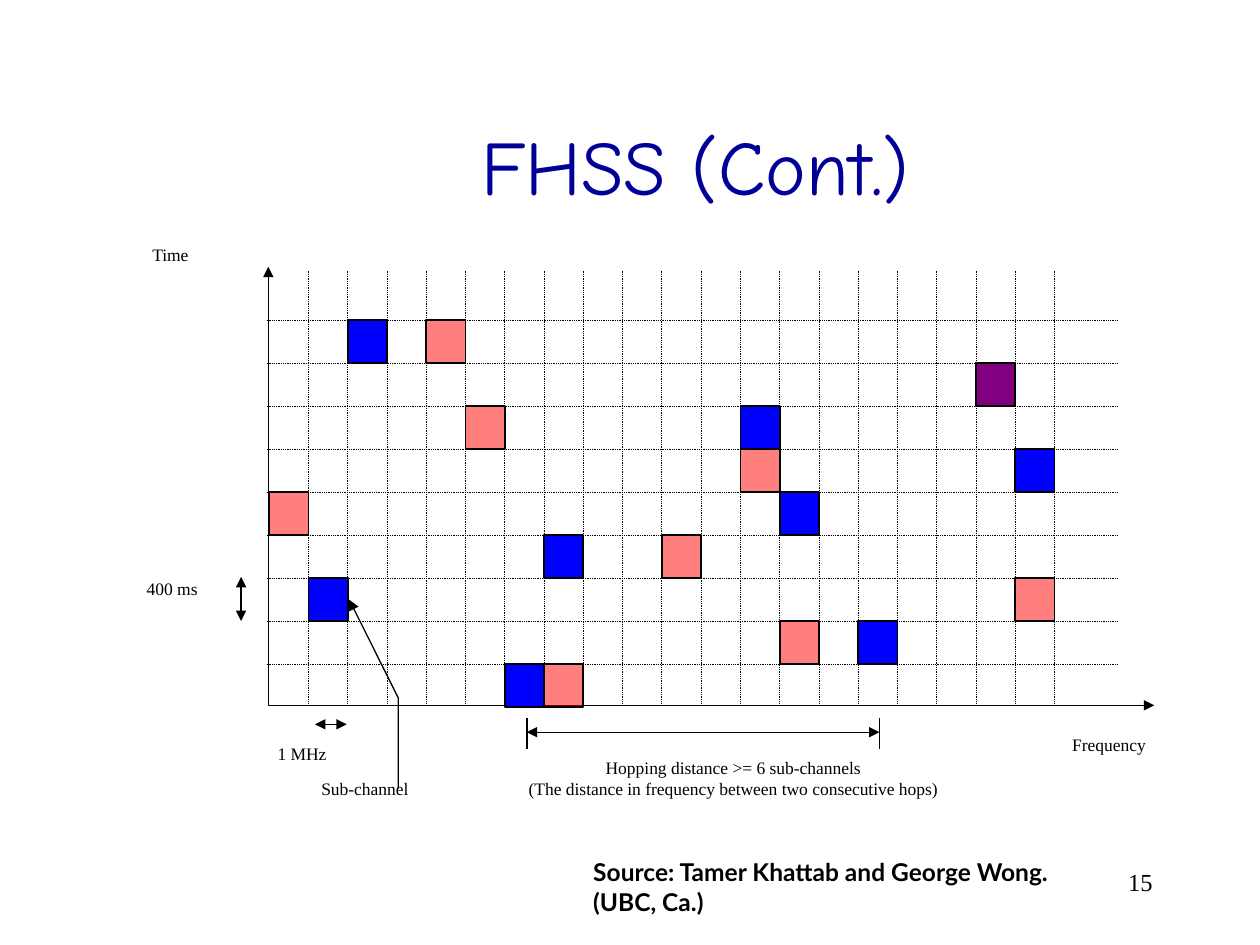
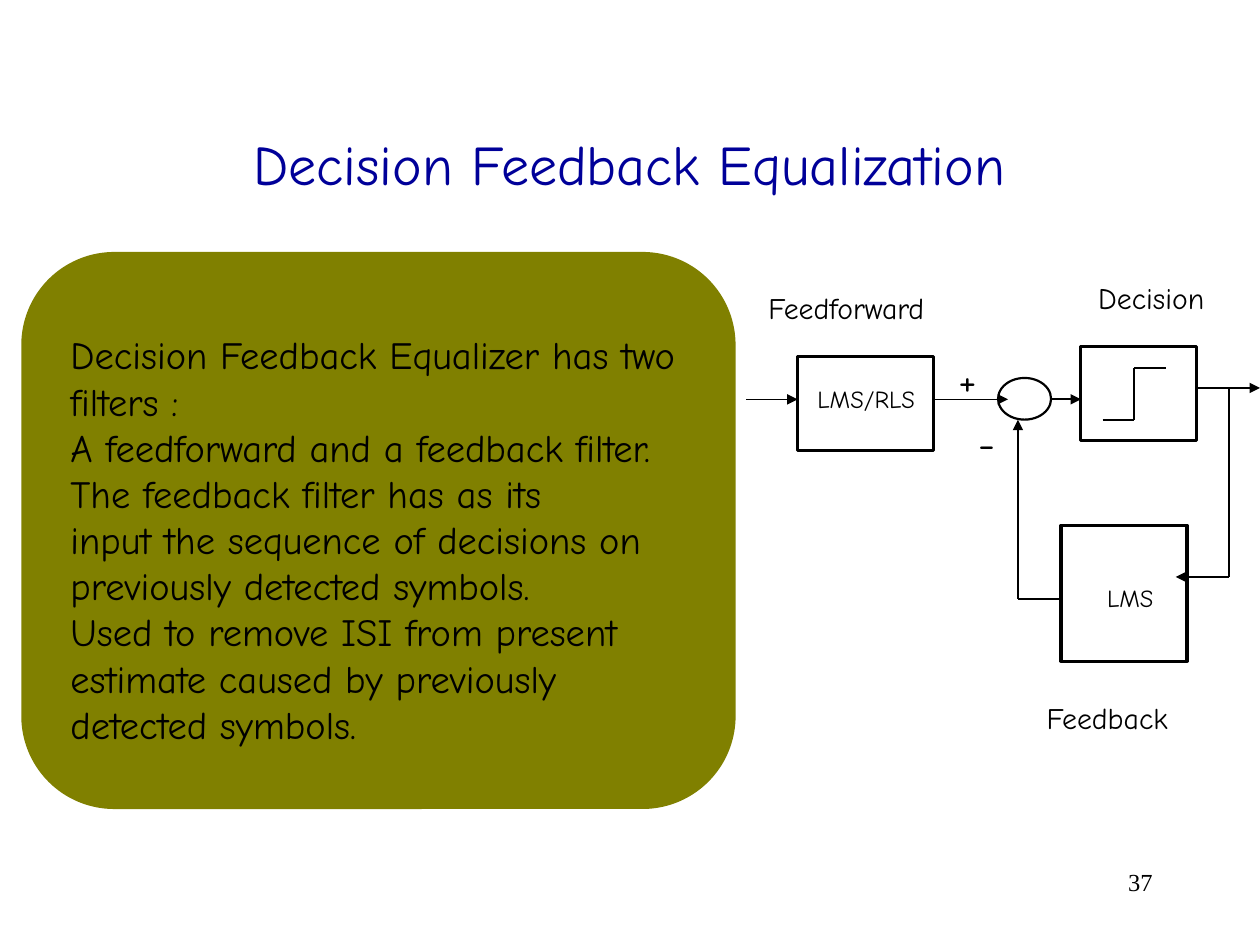
from dataclasses import dataclass
from itertools import pairwise

from lxml import etree
from pptx import Presentation
from pptx.dml.color import RGBColor
from pptx.enum.dml import MSO_LINE
from pptx.enum.shapes import MSO_CONNECTOR, MSO_SHAPE
from pptx.enum.text import MSO_ANCHOR, MSO_AUTO_SIZE, PP_ALIGN
from pptx.oxml.ns import qn
from pptx.util import Cm, Pt

STRAIGHT = MSO_CONNECTOR.STRAIGHT
RECT, OVAL, ROUNDED = MSO_SHAPE.RECTANGLE, MSO_SHAPE.OVAL, MSO_SHAPE.ROUNDED_RECTANGLE
DOTTED = MSO_LINE.ROUND_DOT
TOP, MIDDLE = MSO_ANCHOR.TOP, MSO_ANCHOR.MIDDLE
LEFT, CENTER, RIGHT = PP_ALIGN.LEFT, PP_ALIGN.CENTER, PP_ALIGN.RIGHT
NO_AUTOFIT = MSO_AUTO_SIZE.NONE

COLORS = {"title": "000099", "ink": "000000", "first": "0000FF",
          "second": "FF0000", "panel": "808000"}
HAND, SERIF, SANS = "Comic Neue", "Times New Roman", "Lato"
TITLE_AND_BODY, TITLE_ONLY = 1, 5

Point = tuple[float, float]


@dataclass(frozen=True)
class Box:
    """Left, top, width and height in centimetres."""
    left: float
    top: float
    width: float
    height: float

    def lengths(self) -> tuple:
        return Cm(self.left), Cm(self.top), Cm(self.width), Cm(self.height)


@dataclass(frozen=True)
class TextStyle:
    font: str
    size: float
    color: str = "ink"
    align: PP_ALIGN = LEFT
    bold: bool = False
    margins: Point = (0.25, 0.13)


@dataclass(frozen=True)
class Label:
    box: Box
    lines: tuple[str, ...]
    style: TextStyle


@dataclass(frozen=True)
class Wire:
    start: Point
    end: Point
    width: float = 0.75
    head: bool = False
    tail: bool = False
    dotted: bool = False


@dataclass(frozen=True)
class Block:
    kind: MSO_SHAPE
    box: Box
    width: float = 1.75


AXIS_TEXT = TextStyle(SERIF, 10, align=CENTER, margins=(0.03, 0.03))
SOURCE_TEXT = TextStyle(SANS, 14, bold=True)
NUMBER_TEXT = TextStyle(SERIF, 14, align=RIGHT)
BODY_TEXT = TextStyle(HAND, 22)
CAPTION_TEXT = TextStyle(HAND, 17)
FILTER_TEXT = TextStyle(HAND, 14)
SIGN_TEXT = TextStyle(HAND, 24)
NUMBER_BOX = Box(18.21, 17.35, 5.28, 1.27)


def rgb(name: str) -> RGBColor:
    return RGBColor.from_string(COLORS[name])


def place(shape, box: Box) -> None:
    shape.left, shape.top, shape.width, shape.height = box.lengths()


def write(shape, lines: tuple[str, ...], style: TextStyle, anchor=TOP) -> None:
    frame = shape.text_frame
    frame.text = "\n".join(lines)
    frame.word_wrap = True
    frame.auto_size = NO_AUTOFIT
    frame.vertical_anchor = anchor
    frame.margin_left = frame.margin_right = Cm(style.margins[0])
    frame.margin_top = frame.margin_bottom = Cm(style.margins[1])
    for paragraph in frame.paragraphs:
        paragraph.alignment = style.align
        font = paragraph.font
        font.name, font.size, font.bold = style.font, Pt(style.size), style.bold
        font.color.rgb = rgb(style.color)


def add_label(slide, label: Label) -> None:
    write(slide.shapes.add_textbox(*label.box.lengths()), label.lines, label.style)


def set_stroke(shape, width: float, head: bool = False, tail: bool = False) -> None:
    shape.line.color.rgb = rgb("ink")
    shape.line.width = Pt(width)
    outline = shape.element.spPr.find(qn("a:ln"))
    for tag, wanted in (("a:headEnd", head), ("a:tailEnd", tail)):
        if wanted:
            etree.SubElement(outline, qn(tag), type="triangle")


def add_wire(slide, wire: Wire) -> None:
    ends = [Cm(value) for value in (*wire.start, *wire.end)]
    connector = slide.shapes.add_connector(STRAIGHT, *ends)
    if wire.dotted:
        connector.line.dash_style = DOTTED
    set_stroke(connector, wire.width, wire.head, wire.tail)
    etree.SubElement(connector.element.spPr, qn("a:effectLst"))


def add_path(slide, points: list[Point], head: bool = False, tail: bool = False) -> None:
    first, *rest = [(Cm(x), Cm(y)) for x, y in points]
    builder = slide.shapes.build_freeform(*first)
    builder.add_line_segments(rest, close=False)
    path = builder.convert_to_shape()
    path.fill.background()
    path.shadow.inherit = False
    set_stroke(path, 0.75, head, tail)


def add_block(slide, block: Block):
    shape = slide.shapes.add_shape(block.kind, *block.box.lengths())
    shape.shadow.inherit = False
    shape.fill.background()
    set_stroke(shape, block.width)
    return shape


def start_slide(deck, layout: int, title: str, box: Box, size: float, number: str):
    slide = deck.slides.add_slide(deck.slide_layouts[layout])
    place(slide.shapes.title, box)
    write(slide.shapes.title, (title,), TextStyle(HAND, size, "title", CENTER), MIDDLE)
    add_label(slide, Label(NUMBER_BOX, (number,), NUMBER_TEXT))
    return slide


# Hopping grid: columns count from the time axis, rows upwards from the frequency axis
FIRST_X, LAST_X, COLUMN_LINES = 6.22, 21.26, 20
TOP_Y, BOTTOM_Y, ROW_LINES = 6.45, 13.39, 9
COLUMN = (LAST_X - FIRST_X) / (COLUMN_LINES - 1)
ROW = (BOTTOM_Y - TOP_Y) / (ROW_LINES - 1)

FIRST_HOPS = [(6, 0), (15, 1), (1, 2), (7, 3), (13, 4), (19, 5), (12, 6), (18, 7), (2, 8)]
SECOND_HOPS = [(7, 0), (13, 1), (19, 2), (10, 3), (0, 4), (12, 5), (5, 6), (18, 7), (4, 8)]

HOP_LABELS = [
    Label(Box(20.35, 14.76, 4.01, 1.09), ("Frequency",), AXIS_TEXT),
    Label(Box(1.9, 4.88, 3.07, 1.17), ("Time",), AXIS_TEXT),
    Label(Box(8, 15.24, 13.56, 1.65),
          ("Hopping distance >= 6 sub-channels",
           "(The distance in frequency between two consecutive hops)"), AXIS_TEXT),
    Label(Box(5.49, 15.65, 3.73, 1.02), ("Sub-channel",), AXIS_TEXT),
    Label(Box(4.67, 14.94, 2.84, 1.04), ("1 MHz",), AXIS_TEXT),
    Label(Box(2.24, 11.63, 2.46, 0.94), ("400 ms",), AXIS_TEXT),
    Label(Box(11.71, 17.15, 10.85, 1.45),
          ("Source: Tamer Khattab and George Wong.", "(UBC, Ca.)"), SOURCE_TEXT),
]
HOP_MEASURES = [
    Wire((4.86, 11.63), (4.86, 12.52), head=True, tail=True),
    Wire((6.99, 14.6), (6.35, 14.6), head=True, tail=True),
    Wire((10.62, 14.76), (17.73, 14.76), head=True, tail=True),
    *(Wire((x, 14.48), (x, 15.09), 1) for x in (10.62, 17.73)),
]


def add_hop(slide, column: int, row: int, color: str, opacity: int = 100) -> None:
    cell = Box(FIRST_X + (column - 1) * COLUMN, BOTTOM_Y - row * ROW, COLUMN, ROW)
    hop = add_block(slide, Block(RECT, cell, 1))
    hop.fill.solid()
    hop.fill.fore_color.rgb = rgb(color)
    if opacity < 100:
        tint = hop.element.spPr.find(qn("a:solidFill")).find(qn("a:srgbClr"))
        etree.SubElement(tint, qn("a:alpha"), val=str(opacity * 1000))


def build_hopping(deck) -> None:
    slide = start_slide(deck, TITLE_ONLY, "FHSS (Cont.)",
                        Box(3.2, 1.73, 21.64, 3.18), 44, "15")
    # Axes and dotted grid
    add_path(slide, [(5.41, 5.38), (5.41, 14.22), (23.27, 14.22)], head=True, tail=True)
    for i in range(ROW_LINES):
        y = TOP_Y + i * ROW
        add_wire(slide, Wire((5.38, y), (22.53, y), 0.5, dotted=True))
    for i in range(COLUMN_LINES):
        x = FIRST_X + i * COLUMN
        add_wire(slide, Wire((x, 14.22), (x, 5.46), 0.5, dotted=True))
    # Two hopping sequences
    for column, row in FIRST_HOPS:
        add_hop(slide, column, row, "first")
    for column, row in SECOND_HOPS:
        add_hop(slide, column, row, "second", opacity=50)
    # Measures and labels
    for measure in HOP_MEASURES:
        add_wire(slide, measure)
    add_path(slide, [(7.04, 12.09), (8.03, 14.07), (8.03, 15.9)], head=True)
    for label in HOP_LABELS:
        add_label(slide, label)


# Equalizer diagram
EQUALIZER_TEXT = (
    "Decision Feedback Equalizer has two",
    "filters :",
    "A feedforward and a feedback filter.",
    "The feedback filter has as its",
    "input the sequence of decisions on",
    "previously detected symbols.",
    "Used to remove ISI from present",
    "estimate caused by previously",
    "detected symbols.",
)
EQUALIZER_BLOCKS = [
    Block(RECT, Box(16.08, 7.19, 2.74, 1.9)),
    Block(OVAL, Box(20.12, 7.62, 1.07, 0.84), 1.25),
    Block(RECT, Box(21.39, 10.59, 2.54, 2.74)),
    Block(RECT, Box(21.79, 6.99, 2.34, 1.9)),
]
DECISION_STEP = [(22.23, 8.46), (22.86, 8.46), (22.86, 7.42), (23.5, 7.42)]
EQUALIZER_WIRES = [
    Wire((15.04, 8.05), (16.08, 8.05), tail=True),
    Wire((18.85, 8.05), (20.32, 8.05), tail=True),
    Wire((21.16, 8.05), (21.79, 8.05), 1.25, tail=True),
    Wire((24.13, 7.82), (25.4, 7.82), tail=True),
    Wire((24.77, 7.82), (24.77, 11.63), 1.25),
    Wire((24.77, 11.63), (23.7, 11.63), 1.25, tail=True),
    Wire((21.39, 12.07), (20.52, 12.07), 1.25),
    Wire((20.52, 12.07), (20.52, 8.46), 1.25, tail=True),
    *(Wire(start, end, 1.25) for start, end in pairwise(DECISION_STEP)),
]
EQUALIZER_LABELS = [
    Label(Box(15.24, 5.72, 3.9, 0.99), ("Feedforward",), CAPTION_TEXT),
    Label(Box(20.85, 13.97, 3.1, 0.99), ("Feedback",), CAPTION_TEXT),
    Label(Box(21.89, 5.51, 2.8, 0.99), ("Decision",), CAPTION_TEXT),
    Label(Box(19.08, 6.99, 1, 1.27), ("+",), SIGN_TEXT),
    Label(Box(19.48, 8.26, 1, 1.27), ("-",), SIGN_TEXT),
    Label(Box(16.23, 7.62, 2.6, 0.86), ("LMS/RLS",), FILTER_TEXT),
    Label(Box(22.07, 11.63, 1.6, 0.86), ("LMS",), FILTER_TEXT),
]


def build_equalizer(deck) -> None:
    slide = start_slide(deck, TITLE_AND_BODY, "Decision Feedback Equalization",
                        Box(1.9, 1.7, 21.59, 3.18), 32, "37")
    # Panel behind the explanation
    panel = slide.shapes.add_shape(ROUNDED, *Box(0.43, 5.08, 14.4, 11.23).lengths())
    panel.adjustments[0] = 0.167
    panel.shadow.inherit = False
    panel.fill.solid()
    panel.fill.fore_color.rgb = rgb("panel")
    panel.line.fill.background()
    slide.shapes.title.element.addprevious(panel.element)
    # Explanation, without bullets
    explanation = slide.placeholders[1]
    place(explanation, Box(1.17, 6.55, 13.2, 9.58))
    explanation.text_frame.text = "\n".join(EQUALIZER_TEXT)
    write(explanation, EQUALIZER_TEXT, BODY_TEXT)
    for paragraph in explanation.text_frame.paragraphs:
        properties = paragraph._p.get_or_add_pPr()
        properties.set("marL", "0")
        properties.set("indent", "0")
        properties.insert(0, etree.Element(qn("a:buNone")))
        paragraph.space_before = Pt(0)
    # Signal flow
    for block in EQUALIZER_BLOCKS:
        add_block(slide, block)
    for wire in EQUALIZER_WIRES:
        add_wire(slide, wire)
    for label in EQUALIZER_LABELS:
        add_label(slide, label)


def main() -> None:
    deck = Presentation()
    deck.slide_width, deck.slide_height = Cm(25.4), Cm(19.05)
    build_hopping(deck)
    build_equalizer(deck)
    deck.save("out.pptx")


if __name__ == "__main__":
    main()
